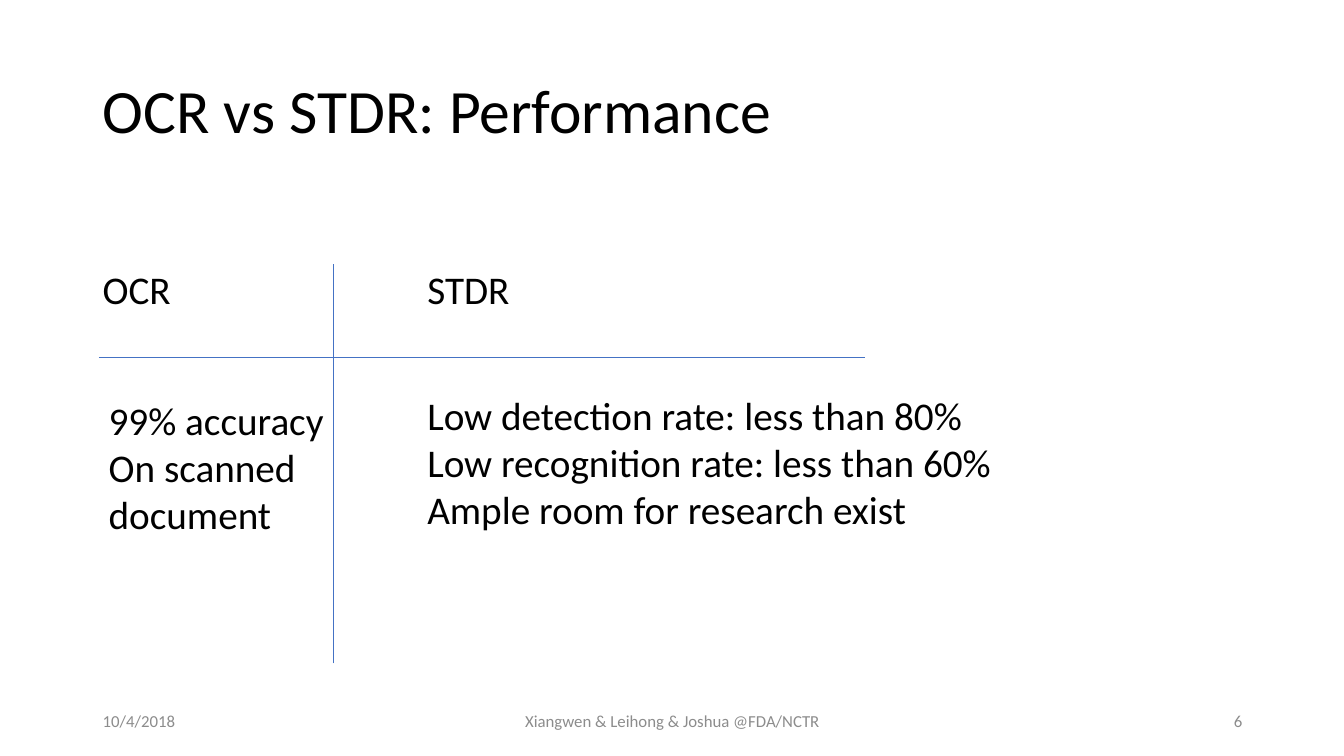
from pptx import Presentation
from pptx.dml.color import RGBColor
from pptx.enum.shapes import MSO_CONNECTOR
from pptx.enum.text import MSO_ANCHOR, PP_ALIGN
from pptx.oxml.ns import qn
from pptx.util import Pt
from lxml.etree import SubElement

PX = 9144  # 100 px to the inch
THEME = {
    "face": "Calibri",
    "ink": RGBColor(0, 0, 0),
    "gray": RGBColor(0x8C, 0x8C, 0x8C),
    "rule": RGBColor(0x44, 0x72, 0xC4),
    "title": Pt(44), "body": Pt(28), "foot": Pt(12), "thin": Pt(0.5),
}


def write(shape, lines, size, ink, align=PP_ALIGN.LEFT, space=1.0):
    frame = shape.text_frame
    frame.text = "\n".join(lines)
    for key, val in {"word_wrap": True, "vertical_anchor": MSO_ANCHOR.MIDDLE}.items():
        setattr(frame, key, val)
    for para in frame.paragraphs:
        for key, val in {"alignment": align, "line_spacing": space}.items():
            setattr(para, key, val)
        font = para.runs[0].font
        for key, val in {"name": THEME["face"], "size": THEME[size]}.items():
            setattr(font, key, val)
        font.color.rgb = THEME[ink]


def place(*box):
    return [n * PX for n in box]


deck = Presentation()
deck.slide_width, deck.slide_height = place(1333, 750)
slide = deck.slides.add_slide(deck.slide_layouts[5])

# Title
title = slide.shapes.title
for key, val in zip(("left", "top", "width", "height"), place(92, 40, 1150, 145)):
    setattr(title, key, val)
write(title, ["OCR vs STDR: Performance"], "title", "ink", space=0.9)

# Cross of rules
for ends in ((331, 658, 331, 262), (98, 355, 858, 355)):
    rule = slide.shapes.add_connector(MSO_CONNECTOR.STRAIGHT, *place(*ends))
    rule.line.color.rgb = THEME["rule"]
    rule.line.width = THEME["thin"]
    SubElement(rule._element.spPr, qn("a:effectLst"))

# Column heads and findings
cells = [
    ((92, 262, 220, 50), ["OCR"]),
    ((414, 262, 220, 50), ["STDR"]),
    ((98, 395, 233, 137), ["99% accuracy", "On scanned", "document"]),
    ((414, 390, 636, 137), ["Low detection rate: less than 80%",
                            "Low recognition rate: less than 60%",
                            "Ample room for research exist"]),
]
for box, lines in cells:
    write(slide.shapes.add_textbox(*place(*box)), lines, "body", "ink")

# Footer
foot = [
    (92, 300, "10/4/2018", PP_ALIGN.LEFT),
    (442, 450, "Xiangwen & Leihong & Joshua @FDA/NCTR", PP_ALIGN.CENTER),
    (942, 300, "6", PP_ALIGN.RIGHT),
]
for left, wide, text, align in foot:
    note = slide.shapes.add_textbox(*place(left, 695, wide, 40))
    write(note, [text], "foot", "gray", align)

deck.save("out.pptx")
